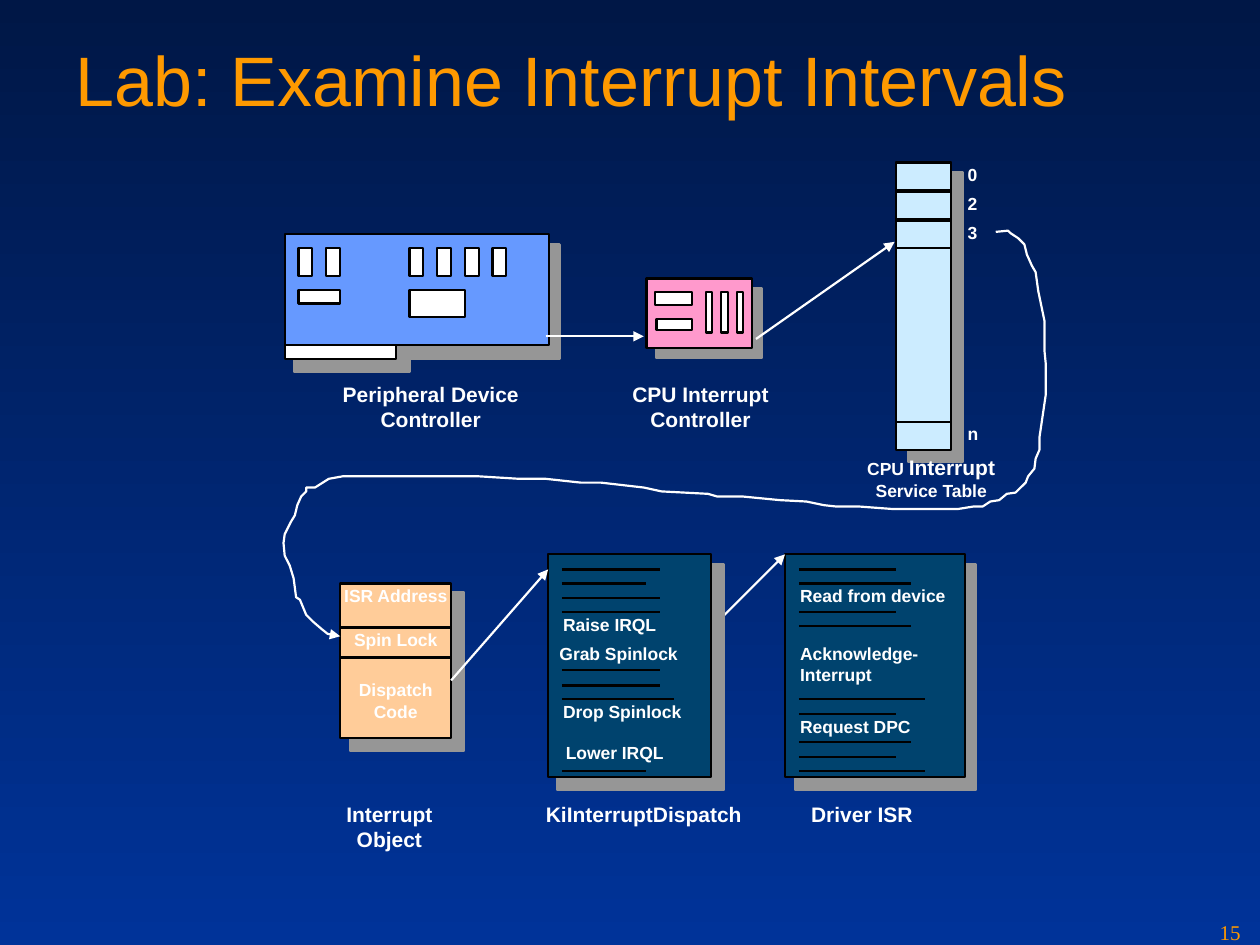
from dataclasses import dataclass
from typing import Any

from pptx import Presentation
from pptx.dml.color import RGBColor
from pptx.enum.shapes import MSO_CONNECTOR as Conn, MSO_SHAPE as Shape
from pptx.enum.text import MSO_ANCHOR as Anchor, PP_ALIGN as Align
from pptx.oxml.ns import qn
from pptx.util import Pt
from lxml.etree import SubElement as sub

BLACK, WHITE, GREY, GOLD = "000000", "FFFFFF", "969696", "FE9900"
PEACH, ICE, TEAL = "FFCC99", "CCECFF", "00436E"


def color(code):
    return RGBColor.from_string(code)


@dataclass
class Pen:
    """Draws styled elements on the current slide."""

    slide: Any
    font: str = "Arial"
    width: float = 1.25
    pad: float = 0.72

    def stroke(self, line, code, head=False):
        line.color.rgb = color(code)
        line.width = Pt(self.width)
        if head:
            sub(line._get_or_add_ln(), qn("a:tailEnd"), type="triangle")

    def label(self, shape, runs, size, code, bold, align, pads):
        frame = shape.text_frame
        frame.word_wrap = True
        frame.vertical_anchor = Anchor.TOP
        side, top = pads
        frame.margin_left = frame.margin_right = Pt(side)
        frame.margin_top, frame.margin_bottom = Pt(top), Pt(min(side, top))
        para = frame.paragraphs[0]
        para.alignment = align
        font = para.font
        font.name, font.size, font.bold = self.font, Pt(size), bold
        font.color.rgb = color(code)
        for words, own in runs:
            run = para.add_run()
            run.text = words
            if own:
                run.font.size = Pt(own)

    def box(self, x, y, w, h, fill=WHITE, edge=BLACK, text="", top=0.72):
        shape = self.slide.shapes.add_shape(
            Shape.RECTANGLE, Pt(x), Pt(y), Pt(w), Pt(h))
        shape.shadow.inherit = False
        shape.fill.solid()
        shape.fill.fore_color.rgb = color(fill)
        self.stroke(shape.line, edge)
        if text:
            self.label(shape, [(text, None)], 10, WHITE, True, Align.CENTER, (self.pad, top))

    def shade(self, x, y, w, h):
        self.box(x, y, w, h, GREY, GREY)

    def text(self, x, y, w, h, runs, size=10, code=WHITE, bold=True,
             align=Align.LEFT, pads=(0.72, 0.72)):
        shape = self.slide.shapes.add_textbox(Pt(x), Pt(y), Pt(w), Pt(h))
        runs = [(runs, None)] if isinstance(runs, str) else runs
        self.label(shape, runs, size, code, bold, align, pads)

    def title(self, x, y, w, h, words, size=12):
        self.text(x, y, w, h, words, size, align=Align.CENTER)

    def line(self, x1, y1, x2, y2, code=WHITE, head=True):
        link = self.slide.shapes.add_connector(
            Conn.STRAIGHT, Pt(x1), Pt(y1), Pt(x2), Pt(y2))
        self.stroke(link.line, code, head)
        sub(link._element.spPr, qn("a:effectLst"))

    def rules(self, x, rows):
        for y, w in rows:
            self.line(x, y, x + w, y, BLACK, False)

    def curve(self, points):
        start, *rest = [(Pt(x), Pt(y)) for x, y in points]
        trace = self.slide.shapes.build_freeform(*start)
        trace.add_line_segments(rest, close=False)
        shape = trace.convert_to_shape()
        shape.shadow.inherit = False
        shape.fill.background()
        self.stroke(shape.line, WHITE, True)


TRAIL = [
    (569, 132.5), (576, 131.8), (577.4, 133.2), (581.8, 136.1), (585.4, 139.7),
    (586.8, 145.4), (589.7, 151.9), (591.8, 155.5), (593.3, 166.3), (595.4, 176.4),
    (596.9, 183.6), (596.9, 200.9), (597.6, 208.1), (597.6, 225.4), (594, 249.8),
    (594, 257), (591.8, 262.1), (591.1, 267.8), (587.5, 272.2), (586.1, 275.8),
    (580.3, 281.5), (575.3, 282.2), (571, 285.8), (565.9, 286.6), (561.6, 289.4),
    (556.6, 289.4), (547.2, 290.9), (510.5, 290.9), (490.3, 289.4), (477.4, 289.4),
    (470.9, 288.7), (460.8, 286.6), (445.7, 285.8), (424.1, 283.7), (409.7, 283.7),
    (404.6, 282.2), (378, 280.8), (367.9, 278.6), (343.4, 275.8), (331.9, 275.8),
    (311.8, 273.6), (296.6, 273.6), (273.6, 272.2), (195.8, 272.2), (187.9, 273.6),
    (180, 278.6), (175, 278.6), (175, 280.8), (172.1, 283.7), (169.9, 288.7),
    (168.5, 294.5), (166.3, 298.1), (162.7, 305.3), (162, 310.3), (162.7, 317.5),
    (165.6, 323.3), (167.8, 330.5), (169.2, 341.3), (171.4, 342.7), (175, 351.4),
    (178.6, 355), (183.6, 359.3), (187.2, 362.2), (194.4, 363.6)]


def device(pen):
    pen.shade(169.9, 139.7, 149.8, 65.5)
    pen.shade(167.8, 187.9, 66.2, 24.5)
    pen.box(162.7, 133.9, 151.2, 63.4, "6699FF")
    pen.box(162.7, 197.3, 63.4, 7.9)
    for slot in (0, 1, 4, 5, 6, 7):
        pen.box(170.6 + 15.84 * slot, 141.8, 7.9, 15.8)
    pen.box(170.6, 165.6, 23.8, 7.9)
    pen.box(234, 165.6, 31.7, 15.8)
    pen.title(170.6, 217.4, 151.2, 15.8, "Peripheral Device Controller")


def chip(pen):
    pen.shade(375.1, 164.9, 60.5, 39.6)
    pen.box(369.4, 159.1, 60.5, 39.6, "FF99CC")
    pen.box(374.4, 167, 20.9, 7.2)
    pen.box(375.1, 182.2, 20.2, 6.5)
    for bar in range(3):
        pen.box(403.2 + 9 * bar, 167, 3.6, 23)
    pen.title(353.5, 217.4, 93.6, 32.4, "CPU Interrupt Controller")
    pen.line(311.8, 192.2, 367.9, 192.2)


def table(pen):
    pen.shade(519.1, 98.6, 31, 165.6)
    pen.box(511.9, 92.9, 31.7, 159.1, ICE)
    for mark, y in zip("023n", (92.9, 109.4, 126, 241.2)):
        pen.box(511.9, y, 31.7, 15.8, ICE)
        pen.text(552.2, y, 7.9, 15.8, mark)
    pen.title(488.2, 259.2, 87.8, 31.7,
              [("CPU ", None), ("Interrupt", 12), (" Service Table", None)], 10)
    pen.line(432, 193.7, 511.2, 138.2)


def record(pen):
    pen.shade(200.2, 338.4, 64.8, 90.7)
    for y, h, name, top in ((333.4, 25.9, "ISR Address", 0.72),
                            (358.6, 17.3, "Spin Lock", 0.72),
                            (375.8, 46.1, "Dispatch Code", 12.5)):
        pen.box(194.4, y, 63.4, h, PEACH, text=name, top=top)
    pen.curve(TRAIL)
    pen.title(178.6, 457.2, 87.8, 15.8, "Interrupt Object")


def driver(pen):
    pen.shade(454.3, 322.6, 103.7, 128.9)
    pen.box(448.6, 316.8, 103, 127.4, TEAL)
    pen.line(376.6, 388.8, 448.6, 316.8)
    for y, w, h, step in ((333.4, 95.8, 15.8, "Read from device"),
                          (366.5, 79.9, 31.7, "Acknowledge-Interrupt"),
                          (408.2, 79.9, 15.8, "Request DPC")):
        pen.text(456.5, y, w, h, step)
    pen.rules(456.5, [(325.4, 55.4), (333.4, 64), (349.9, 55.4), (357.8, 64), (399.6, 72),
                      (407.9, 55.4), (424.1, 64), (432.7, 55.4), (440.6, 72)])
    pen.title(448.6, 457.2, 87.8, 15.8, "Driver ISR")


def routine(pen):
    pen.shade(318.2, 322.6, 95.8, 128.9)
    pen.box(313.2, 316.8, 92.9, 127.4, TEAL)
    pen.rules(321.1, [(325.4, 56), (333.4, 48), (341.6, 56), (349.9, 56),
                      (383, 56), (391.7, 56), (399.6, 64), (440.6, 48)])
    pen.line(257.8, 388.8, 313.2, 325.4)
    for x, y, step in ((321.1, 349.9, "Raise IRQL"), (319, 366.5, "Grab Spinlock"),
                       (321.1, 399.6, "Drop Spinlock"), (322.6, 423.4, "Lower IRQL")):
        pen.text(x, y, 75, 15.8, step)
    pen.title(305.3, 457.2, 125.3, 19.4, "KiInterruptDispatch")


def main():
    deck = Presentation()
    deck.slide_width, deck.slide_height = Pt(720), Pt(540)
    slide = deck.slides.add_slide(deck.slide_layouts[6])
    fill = slide.background.fill
    fill.gradient()
    fill.gradient_angle = 270
    for stop, code in zip(fill.gradient_stops, ("001746", "003399")):
        stop.color.rgb = color(code)
    pen = Pen(slide)
    pen.text(36, 17.3, 648, 90, "Lab: Examine Interrupt Intervals", 40, GOLD, False, pads=(7.2, 3.6))
    for part in (device, chip, table, record, driver, routine):
        part(pen)
    Pen(slide, "Times New Roman").text(689.8, 522, 30.2, 18, "15", 12, GOLD, False, pads=(7.2, 3.6))
    deck.save("out.pptx")


if __name__ == "__main__":
    main()
